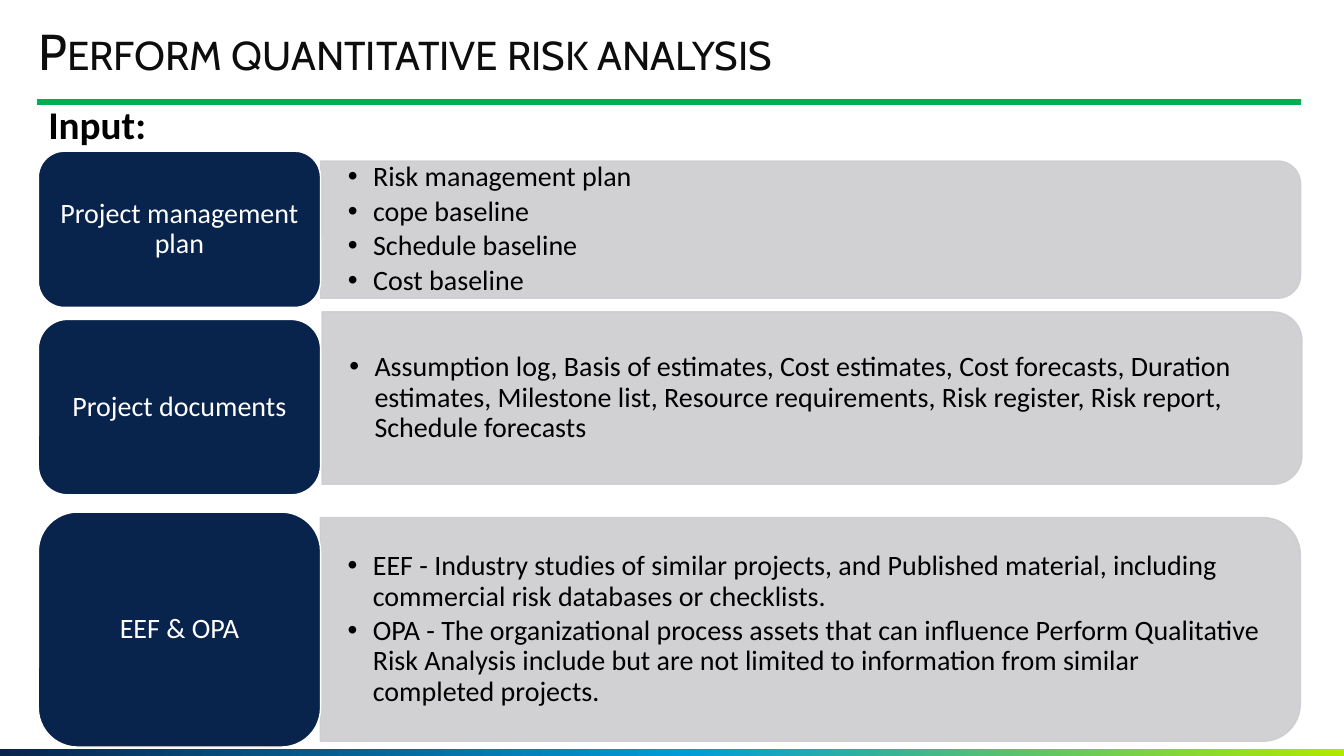
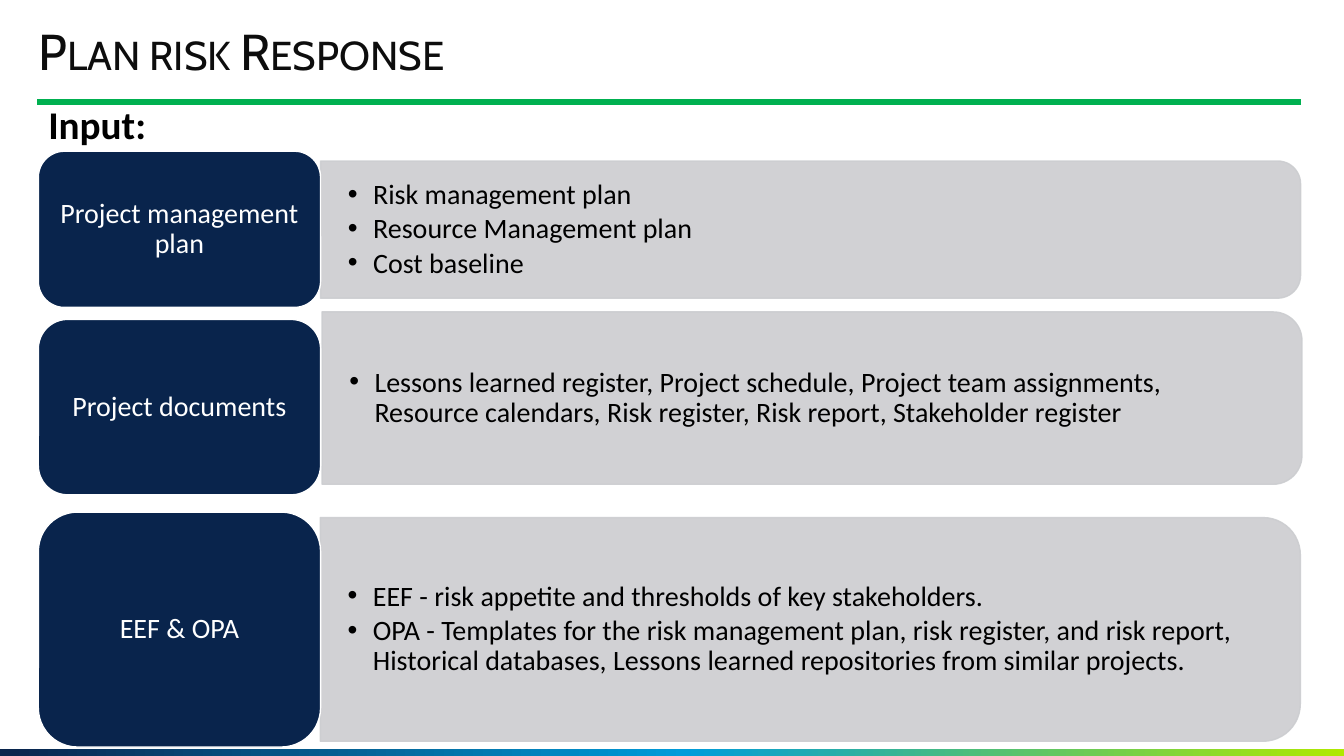
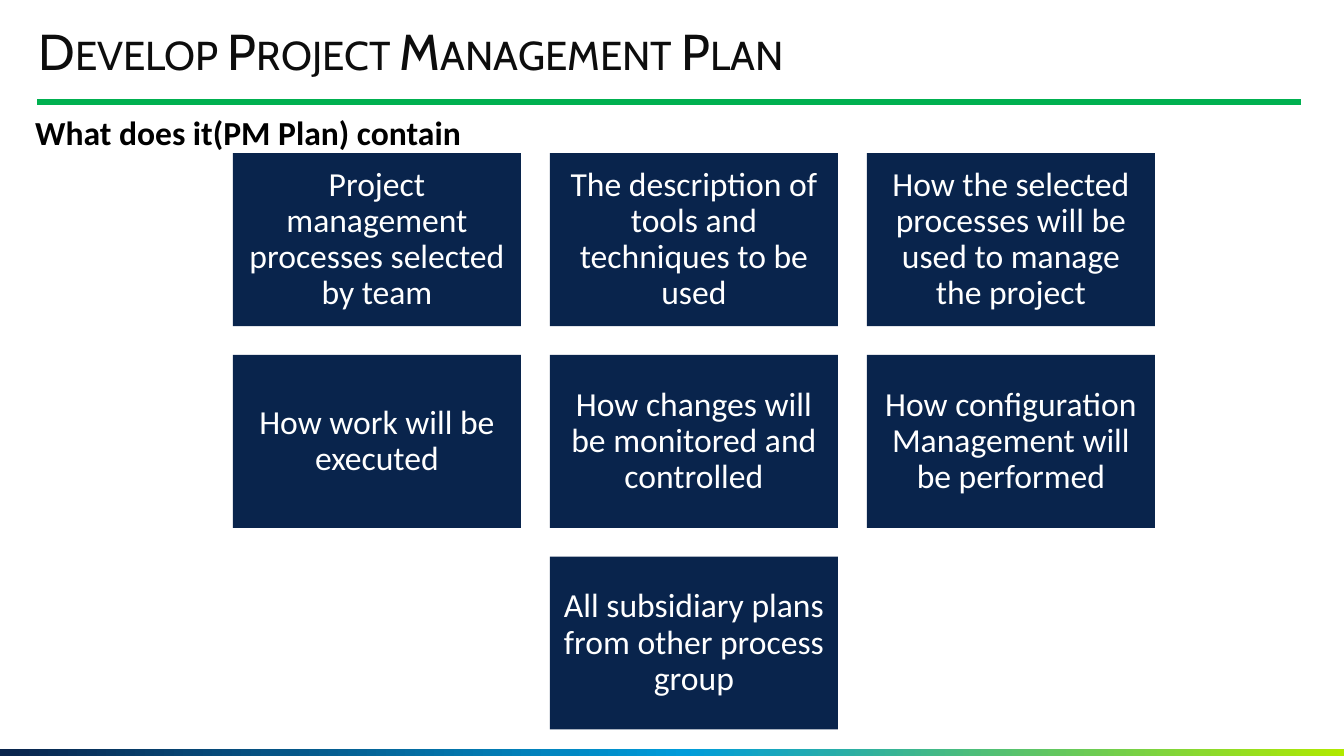
from copy import deepcopy

from pptx import Presentation
from pptx.dml.color import RGBColor
from pptx.enum.shapes import MSO_CONNECTOR, MSO_SHAPE as Preset
from pptx.enum.text import MSO_ANCHOR as Anchor, MSO_AUTO_SIZE as AutoSize, PP_ALIGN as Align
from pptx.oxml.ns import qn
from pptx.oxml.xmlchemy import OxmlElement
from pptx.util import Pt

WIDTH, HEIGHT = 960, 540
NAVY, GREY, GREEN = "09244C", "CCCDD0", "00B050"
WHITE, BLACK, TITLE_INK = "FFFFFF", "000000", "0D0D0D"
FOOTER_STOPS = [(0, NAVY), (0.51, "009CDA"), (1, "B0E900")]
BODY_FONT, TITLE_FONT = "Calibri", "Cabin"
MARGIN = 27.4
LABEL_WIDTH, BAR_WIDTH = 201.6, 700
INDENT = 18

# label, label top and height, bar left, top and height
INPUT_ROWS = [
    ("Project management plan", 108, 111.6, 229, 115, 98),
    ("Project documents", 228.2, 125.3, 230, 222.8, 123.1),
    ("EEF & OPA", 365.8, 167.8, 228.8, 369.7, 159.8),
]

INPUT_SLIDES = {
    "Perform quantitative risk analysis": [
        ["Risk management plan", "cope baseline", "Schedule baseline", "Cost baseline"],
        ["Assumption log, Basis of estimates, Cost estimates, Cost forecasts, Duration "
         "estimates, Milestone list, Resource requirements, Risk register, Risk report, "
         "Schedule forecasts"],
        ["EEF - Industry studies of similar projects, and Published material, including "
         "commercial risk databases or checklists.",
         "OPA - The organizational process assets that can influence Perform Qualitative "
         "Risk Analysis include but are not limited to information from similar "
         "completed projects."],
    ],
    "Plan risk Response": [
        ["Risk management plan", "Resource Management plan", "Cost baseline"],
        ["Lessons learned register, Project schedule, Project team assignments, "
         "Resource calendars, Risk register, Risk report, Stakeholder register"],
        ["EEF - risk appetite and thresholds of key stakeholders.",
         "OPA - Templates for the risk management plan, risk register, and risk report, "
         "Historical databases, Lessons learned repositories from similar projects."],
    ],
}

PLAN_CONTENTS = [
    "Project management processes selected by team",
    "The description of tools and techniques to be used",
    "How the selected processes will be used to manage the project",
    "How work will be executed",
    "How changes will be monitored and controlled",
    "How configuration Management will be performed",
    "All subsidiary plans from other process group",
]


def color(value):
    return RGBColor.from_string(value)


def apply(target, values):
    for name, value in values.items():
        setattr(target, name, value)


def add_bullet(paragraph):
    properties = paragraph._p.get_or_add_pPr()
    properties.set("marL", str(Pt(INDENT)))
    properties.set("indent", str(-Pt(INDENT)))
    for tag, name, value in (("a:buFont", "typeface", "Arial"), ("a:buChar", "char", "•")):
        element = OxmlElement(tag)
        element.set(name, value)
        properties.append(element)


class Deck:
    """Holds the shared style and the slide being filled."""

    def __init__(self):
        self.presentation = Presentation()
        apply(self.presentation, {"slide_width": Pt(WIDTH), "slide_height": Pt(HEIGHT)})
        self.slide = None

    def new_slide(self, title):
        self.slide = self.presentation.slides.add_slide(self.presentation.slide_layouts[6])
        self.footer()
        self.rule()
        self.text_box((MARGIN, 19.4, 805.7, 39.6), [title], insets=(0, 0), size=36,
                      font=TITLE_FONT, ink=TITLE_INK, small_caps=True)

    def footer(self):
        band = self.shape(Preset.RECTANGLE, (0, 535, WIDTH, 5), NAVY)
        band.fill.gradient()
        band.fill.gradient_angle = 0
        stop_list = band._element.spPr.find(".//" + qn("a:gsLst"))
        stop_list.append(deepcopy(stop_list[-1]))
        for stop, (position, value) in zip(band.fill.gradient_stops, FOOTER_STOPS):
            stop.position = position
            stop.color.rgb = color(value)

    def rule(self):
        line = self.slide.shapes.add_connector(
            MSO_CONNECTOR.STRAIGHT, Pt(26.6), Pt(72.7), Pt(929.5), Pt(72.7))
        line.line.color.rgb = color(GREEN)
        line.line.width = Pt(4.5)
        line._element.spPr.append(OxmlElement("a:effectLst"))

    def shape(self, preset, box, fill, line=None):
        shape = self.slide.shapes.add_shape(preset, *map(Pt, box))
        shape.shadow.inherit = False
        shape.fill.solid()
        shape.fill.fore_color.rgb = color(fill)
        if line:
            shape.line.color.rgb = color(line)
            shape.line.width = Pt(1)
        else:
            shape.line.fill.background()
        return shape

    def text_box(self, box, lines, **style):
        shape = self.slide.shapes.add_textbox(*map(Pt, box))
        self.fill_text(shape, lines, **style)

    def fill_text(self, shape, lines, size, insets=(7.2, 3.6), font=BODY_FONT, ink=BLACK,
                  bold=False, small_caps=False, anchor=Anchor.TOP, align=Align.LEFT,
                  spacing=0.9, bullets=False):
        frame = shape.text_frame
        across, down = map(Pt, insets)
        apply(frame, {"word_wrap": True, "auto_size": AutoSize.NONE,
                      "vertical_anchor": anchor, "margin_left": across,
                      "margin_right": across, "margin_top": down, "margin_bottom": down})
        for index, line in enumerate(lines):
            paragraph = frame.add_paragraph() if index else frame.paragraphs[0]
            apply(paragraph, {"alignment": align, "line_spacing": spacing})
            if bullets:
                paragraph.space_after = Pt(0.15 * size)
                add_bullet(paragraph)
            run = paragraph.add_run()
            run.text = line
            apply(run.font, {"size": Pt(size), "name": font, "bold": bold})
            run.font.color.rgb = color(ink)
            if small_caps:
                run.font._element.set("cap", "small")

    def bar(self, left, top, width, height, lines):
        """Draw a bar rounded on its right side, with bulleted text."""
        box = (left + (width - height) / 2, top + (height - width) / 2, height, width)
        shape = self.shape(Preset.ROUND_2_SAME_RECTANGLE, box, GREY, GREY)
        shape.rotation = 90
        for value in shape._element.spPr.iter(qn("a:srgbClr")):
            alpha = OxmlElement("a:alpha")
            alpha.set("val", "90000")
            value.append(alpha)
        corner = 0.05 * height
        self.text_box((left, top + corner, width - corner, height - 2 * corner), lines,
                      size=20, insets=(19.5, 9.75), anchor=Anchor.MIDDLE, bullets=True)

    def block(self, preset, box, text, size, insets, line=None):
        """Draw a navy block with centred white text."""
        shape = self.shape(preset, box, NAVY, line)
        self.fill_text(shape, [text], size, insets, ink=WHITE,
                       anchor=Anchor.MIDDLE, align=Align.CENTER)

    def input_slide(self, title, contents):
        self.new_slide(title)
        self.text_box((MARGIN, 72, 902, 39.6), ["Input:"], size=28, bold=True)
        for (label, label_top, label_height, left, top, height), lines in zip(INPUT_ROWS, contents):
            self.bar(left, top, BAR_WIDTH, height, lines)
            self.block(Preset.ROUNDED_RECTANGLE, (MARGIN, label_top, LABEL_WIDTH, label_height),
                       label, 20, (6, 3), WHITE)

    def grid(self, texts, left, top, width, height, gap, columns):
        """Lay blocks out in rows, centring a short last row."""
        for index, text in enumerate(texts):
            row, column = divmod(index, columns)
            missing = columns - min(columns, len(texts) - row * columns)
            box = (left + (column + missing / 2) * (width + gap),
                   top + row * (height + gap), width, height)
            self.block(Preset.RECTANGLE, box, text, 24, (7.2, 7.2))


def main():
    deck = Deck()
    for title, contents in INPUT_SLIDES.items():
        deck.input_slide(title, contents)
    deck.new_slide("Develop Project Management Plan")
    deck.text_box((18, 76.3, 900, 36), ["What does it(PM Plan) contain"],
                  size=24, bold=True, spacing=1)
    deck.grid(PLAN_CONTENTS, 166.4, 109.4, 205.8, 123.5, 20.6, 3)
    deck.presentation.save("out.pptx")


if __name__ == "__main__":
    main()
